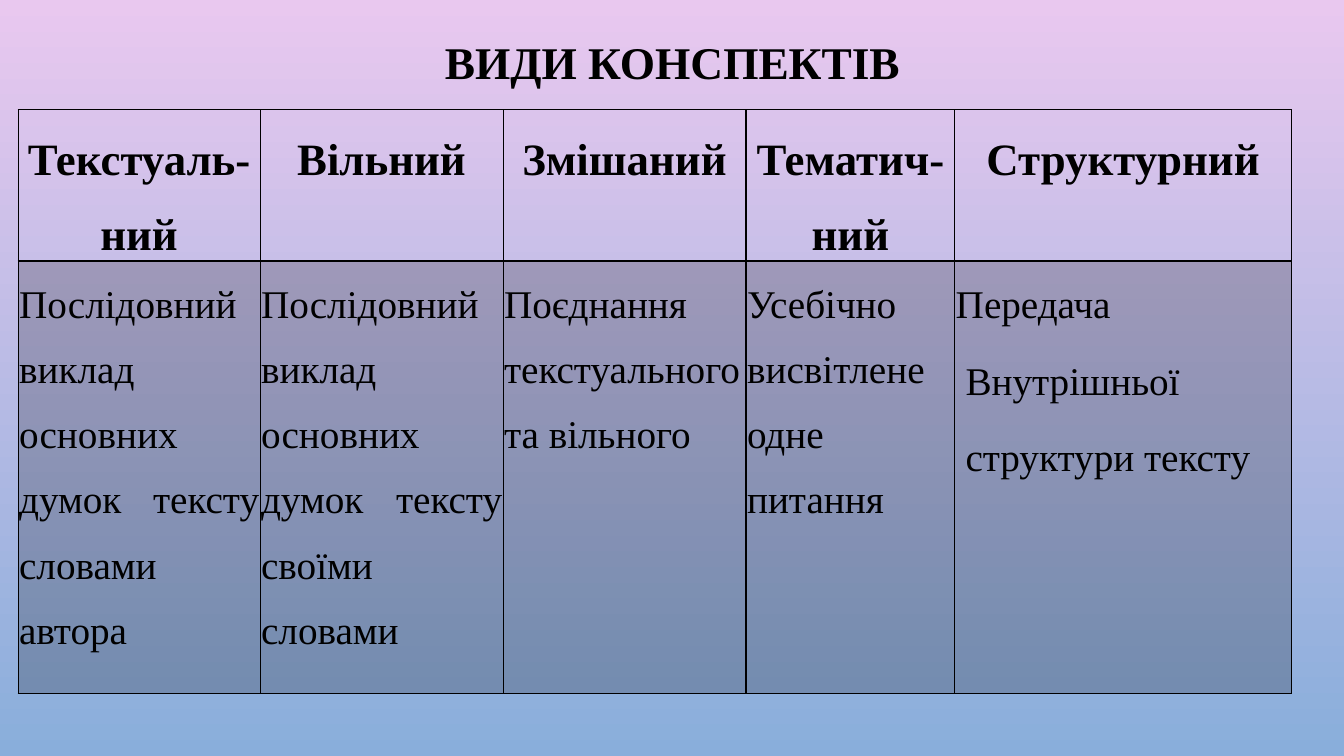
from dataclasses import dataclass

import lxml.etree
import pptx
import pptx.dml.color
import pptx.enum.text
import pptx.oxml.ns
import pptx.util

COLORS = {"sky_top": "E9C8EF", "sky_bottom": "89AEDB", "ink": "000000"}
FONT = "Times New Roman"
BODY_OPACITY = 20
COLUMN_WIDTHS = [2.4, 2.41, 2.41, 2.07, 3.34]
ALIGN = pptx.enum.text.PP_ALIGN


@dataclass
class RowStyle:
    height: float
    size: float
    bold: bool
    align: ALIGN
    bottom_line: float
    shaded: bool


@dataclass
class NoteKind:
    name: str
    description: str


HEADER = RowStyle(1.24, 32, True, ALIGN.CENTER, 2, False)
BODY = RowStyle(4.29, 28, False, ALIGN.JUSTIFY, 1, True)

NOTE_KINDS = [
    NoteKind("Текстуаль-ний", "Послідовний виклад основних думок тексту словами автора"),
    NoteKind("Вільний", "Послідовний виклад основних думок тексту своїми словами"),
    NoteKind("Змішаний", "Поєднання текстуального та вільного"),
    NoteKind("Тематич-ний", "Усебічно висвітлене одне питання"),
    NoteKind("Структурний", "Передача\n Внутрішньої\n структури тексту"),
]


def rgb(name: str) -> pptx.dml.color.RGBColor:
    return pptx.dml.color.RGBColor.from_string(COLORS[name])


def add_child(parent: lxml.etree._Element, tag: str, **attributes: str) -> lxml.etree._Element:
    return lxml.etree.SubElement(parent, pptx.oxml.ns.qn(tag), attributes)


def format_paragraph(para: pptx.text.text._Paragraph, size: float, bold: bool,
                     align: ALIGN, line_spacing: float) -> None:
    para.alignment = align
    para.line_spacing = line_spacing
    for span in para.runs:
        span.font.name = FONT
        span.font.size = pptx.util.Pt(size)
        span.font.bold = bold
        span.font.color.rgb = rgb("ink")


def draw_borders(cell: pptx.table._Cell, bottom_line: float) -> None:
    properties = cell._tc.get_or_add_tcPr()
    widths = {"a:lnL": 1, "a:lnR": 1, "a:lnT": 1, "a:lnB": bottom_line}
    for position, (tag, width) in enumerate(widths.items()):
        line = add_child(properties, tag, w=str(pptx.util.Pt(width)))
        add_child(add_child(line, "a:solidFill"), "a:srgbClr", val=COLORS["ink"])
        properties.insert(position, line)


def shade(cell: pptx.table._Cell) -> None:
    cell.fill.solid()
    cell.fill.fore_color.rgb = rgb("ink")
    color = cell._tc.tcPr.find(".//" + pptx.oxml.ns.qn("a:srgbClr"))
    add_child(color, "a:alpha", val=str(BODY_OPACITY * 1000))


def fill_cell(cell: pptx.table._Cell, text: str, style: RowStyle) -> None:
    cell.margin_left = cell.margin_right = pptx.util.Inches(0.01)
    cell.margin_top = cell.margin_bottom = pptx.util.Inches(0.01)
    cell.text_frame.text = text
    for para in cell.text_frame.paragraphs:
        format_paragraph(para, style.size, style.bold, style.align, 1.5)
        para.space_after = pptx.util.Pt(8)
    if style.shaded:
        shade(cell)
    else:
        cell.fill.background()
    draw_borders(cell, style.bottom_line)


def paint_background(page: pptx.slide.Slide) -> None:
    fill = page.background.fill
    fill.gradient()
    fill.gradient_angle = 270
    for stop, name in zip(fill.gradient_stops, ["sky_top", "sky_bottom"]):
        stop.color.rgb = rgb(name)


def write_title(page: pptx.slide.Slide, text: str) -> None:
    box = page.shapes.title
    box.left, box.top = pptx.util.Inches(0.92), pptx.util.Inches(0.4)
    box.width, box.height = pptx.util.Inches(11.5), pptx.util.Inches(0.89)
    frame = box.text_frame
    frame.text = text
    frame.margin_top = 0
    frame.vertical_anchor = pptx.enum.text.MSO_ANCHOR.TOP
    frame.auto_size = pptx.enum.text.MSO_AUTO_SIZE.NONE
    format_paragraph(frame.paragraphs[0], 32.4, True, ALIGN.CENTER, 0.9)


def add_kinds_table(page: pptx.slide.Slide) -> None:
    frame = page.shapes.add_table(
        2, len(NOTE_KINDS), pptx.util.Inches(0.18), pptx.util.Inches(1.09),
        pptx.util.Inches(12.62), pptx.util.Inches(5.91))
    table = frame.table
    table.first_row = table.horz_banding = False
    for column, width in zip(table.columns, COLUMN_WIDTHS):
        column.width = pptx.util.Inches(width)
    for row, style in zip(table.rows, [HEADER, BODY]):
        row.height = pptx.util.Inches(style.height)
    frame.height = pptx.util.Inches(5.91)
    for index, kind in enumerate(NOTE_KINDS):
        fill_cell(table.cell(0, index), kind.name, HEADER)
        fill_cell(table.cell(1, index), kind.description, BODY)


def main() -> None:
    deck = pptx.Presentation()
    deck.slide_width = pptx.util.Inches(13.33)
    deck.slide_height = pptx.util.Inches(7.5)
    page = deck.slides.add_slide(deck.slide_layouts[5])
    paint_background(page)
    write_title(page, "ВИДИ КОНСПЕКТІВ")
    add_kinds_table(page)
    deck.save("out.pptx")


if __name__ == "__main__":
    main()
